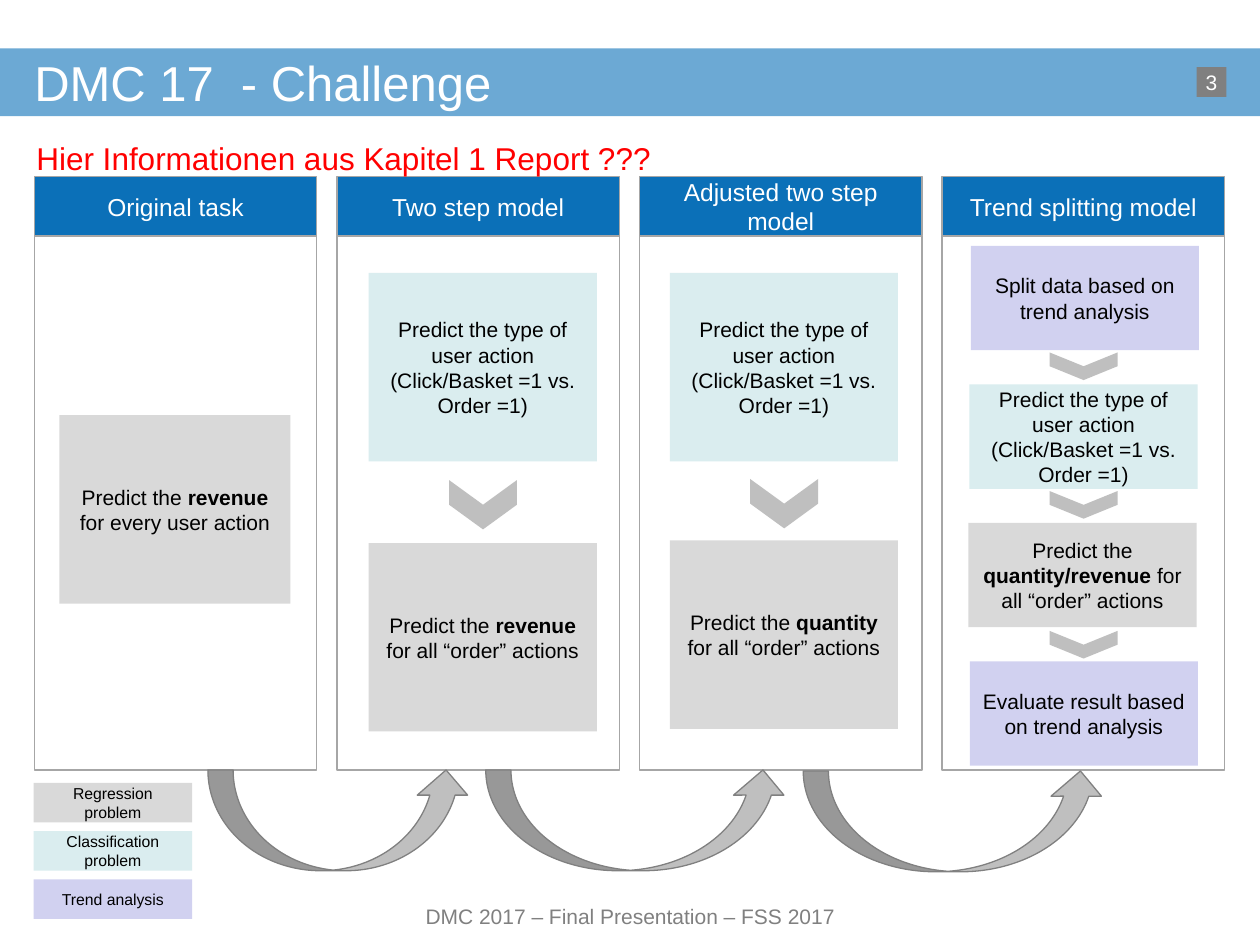
"""Build the DMC 17 challenge slide comparing four modelling approaches."""
from lxml import etree
from pptx import Presentation
from pptx.dml.color import RGBColor
from pptx.enum.shapes import MSO_SHAPE
from pptx.enum.text import MSO_ANCHOR, PP_ALIGN
from pptx.oxml.ns import qn
from pptx.util import Pt

RECT, CHEVRON, CURVED_ARROW = MSO_SHAPE.RECTANGLE, MSO_SHAPE.CHEVRON, MSO_SHAPE.CURVED_UP_ARROW
MIDDLE, TOP = MSO_ANCHOR.MIDDLE, MSO_ANCHOR.TOP
LEFT, CENTER = PP_ALIGN.LEFT, PP_ALIGN.CENTER
BLUE, WHITE, BLACK, GREY, SILVER = "0B70B8", "FFFFFF", "000000", "808080", "BFBFBF"
REGRESSION, CLASSIFICATION, TREND = "D9D9D9", "DAEDEF", "D1D1F0"
BORDER = "A6A6A6"

prs = Presentation()
prs.slide_width, prs.slide_height = Pt(720), Pt(540)
slide = prs.slides.add_slide(prs.slide_layouts[6])


def draw(kind, area, fill=None, line=None):
    shape = slide.shapes.add_shape(kind, *[Pt(v) for v in area])
    shape.shadow.inherit = False
    if fill:
        shape.fill.solid()
        shape.fill.fore_color.rgb = RGBColor.from_string(fill)
    else:
        shape.fill.background()
    if line:
        shape.line.color.rgb = RGBColor.from_string(line)
        shape.line.width = Pt(0.75)
    else:
        shape.line.fill.background()
    return shape


def write(shape, parts, size, color=BLACK, align=CENTER, anchor=MIDDLE, inset=True, wrap=True):
    frame = shape.text_frame
    frame.word_wrap = wrap
    frame.vertical_anchor = anchor
    if not inset:
        frame.margin_left = frame.margin_right = frame.margin_top = frame.margin_bottom = 0
    paragraph = frame.paragraphs[0]
    paragraph.alignment = align
    for text, bold in parts:
        if text == "\n":
            paragraph.add_line_break()
            continue
        run = paragraph.add_run()
        run.text = text
        run.font.name = "Arial"
        run.font.size = Pt(size)
        run.font.bold = bold
        run.font.color.rgb = RGBColor.from_string(color)
    return paragraph


banner = draw(RECT, (0, 27.6, 720, 38.8), BLUE)
banner_color = banner.fill._xPr.find(qn("a:solidFill"))[0]
etree.SubElement(banner_color, qn("a:alpha"), val="60000")

title = slide.shapes.add_textbox(Pt(19.6), Pt(27.6), Pt(680.4), Pt(38.8))
write(title, [("DMC 17  - Challenge", False)], 28, WHITE, LEFT, inset=False)
footer = slide.shapes.add_textbox(Pt(190), Pt(513.5), Pt(340.5), Pt(20))
write(footer, [("DMC 2017 – Final Presentation – FSS 2017", False)], 12, GREY, inset=False)
page_number = draw(RECT, (683.8, 38.4, 17, 17), GREY)
write(page_number, [("3", False)], 12, WHITE, inset=False, wrap=False)

models = ["Original task", "Two step model", "Adjusted two step model", "Trend splitting model"]
for column, model in enumerate(models):
    left = 19.6 + column * 172.9
    write(draw(RECT, (left, 101, 161.5, 33.8), BLUE, BORDER), [(model, False)], 14, WHITE)
    draw(RECT, (left, 134.8, 161.5, 305.2), None, BORDER)

for area in [(118.8, 440, 150.5, 57.6), (277.6, 440, 172.8, 57.6), (459, 440.6, 172.8, 57.6)]:
    draw(CURVED_ARROW, area, SILVER, GREY)

classify = [("Predict the type of user action (Click/Basket =1 vs.", False),
            ("\n", False), ("Order =1)", False)]
order_suffix = (" for all “order” actions", False)
steps = [
    (34, 237.2, 132, 107.7, REGRESSION,
     [("Predict the ", False), ("revenue", True), (" for every user action", False)]),
    (210.7, 156, 130.4, 107.7, CLASSIFICATION, classify),
    (210.7, 310.3, 130.4, 107.7, REGRESSION,
     [("Predict the ", False), ("revenue", True), order_suffix]),
    (382.8, 156, 130.4, 107.7, CLASSIFICATION, classify),
    (382.8, 308.8, 130.4, 107.7, REGRESSION,
     [("Predict the ", False), ("quantity", True), order_suffix]),
    (554.8, 140.5, 130.4, 59.6, TREND, [("Split data based on trend analysis", False)]),
    (554, 219.7, 130.4, 59.6, CLASSIFICATION, classify),
    (553.4, 298.8, 130.4, 59.6, REGRESSION,
     [("Predict the ", False), ("quantity/revenue", True), order_suffix]),
    (554.2, 377.9, 130.4, 59.6, TREND, [("Evaluate result based on trend analysis", False)]),
]
for *area, fill, parts in steps:
    write(draw(RECT, area, fill), parts, 12)

chevrons = [(276, 288.4, 28.2), (448.1, 287.8, 28.2),
            (619.2, 209.3, 15.8), (619.2, 288.5, 15.8), (619.2, 368.4, 15.8)]
for center_x, center_y, depth in chevrons:
    chevron = draw(CHEVRON, (center_x - depth / 2, center_y - 19.4, depth, 38.8), SILVER)
    chevron.rotation = 90

legend = [("Regression problem", REGRESSION), ("Classification problem", CLASSIFICATION),
          ("Trend analysis", TREND)]
for row, (label, fill) in enumerate(legend):
    write(draw(RECT, (19.2, 447.3 + row * 27.6, 90.6, 22.6), fill), [(label, False)], 9)

remark = slide.shapes.add_textbox(Pt(-22.3), Pt(75.6), Pt(404), Pt(29))
remark_line = write(remark, [("Hier Informationen aus Kapitel 1 Report ???", False)],
                    18, "FF0000", LEFT, TOP)
remark_line.level = 1
remark_line._p.get_or_add_pPr().set("marL", str(Pt(36)))

prs.save("out.pptx")
